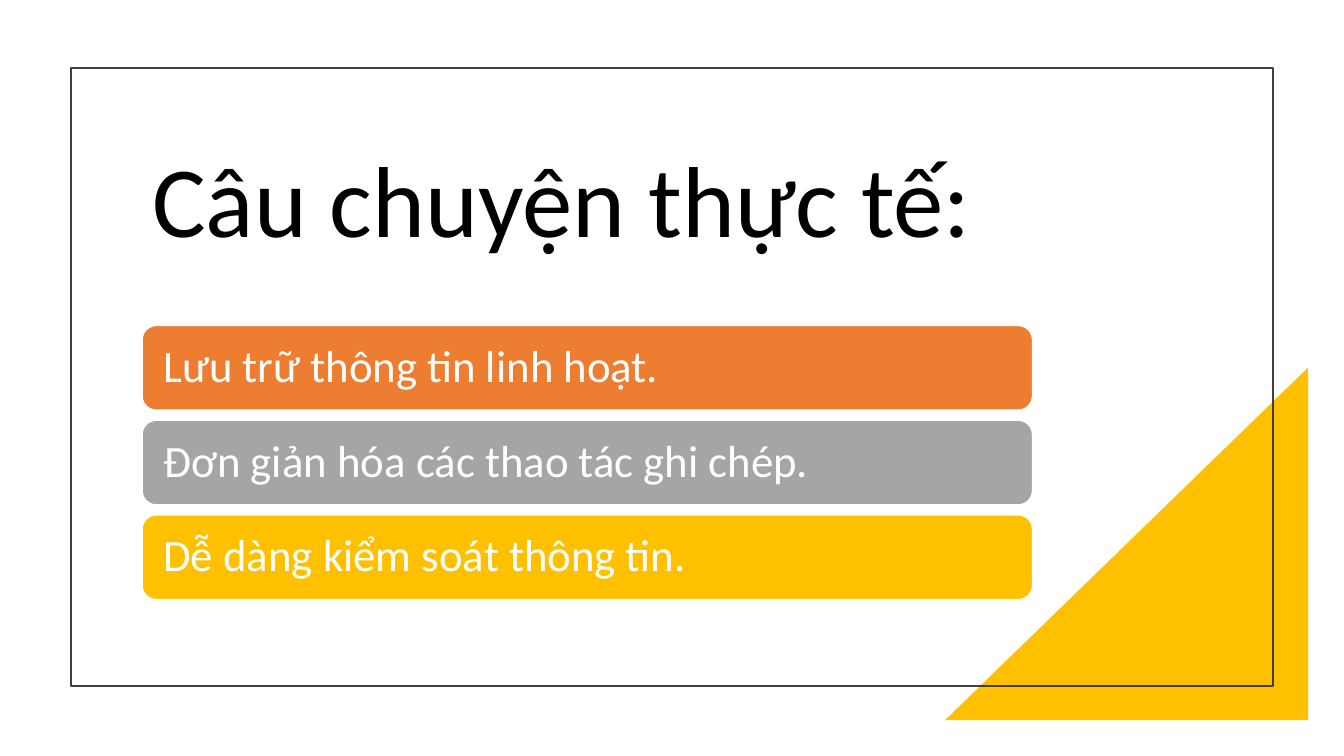
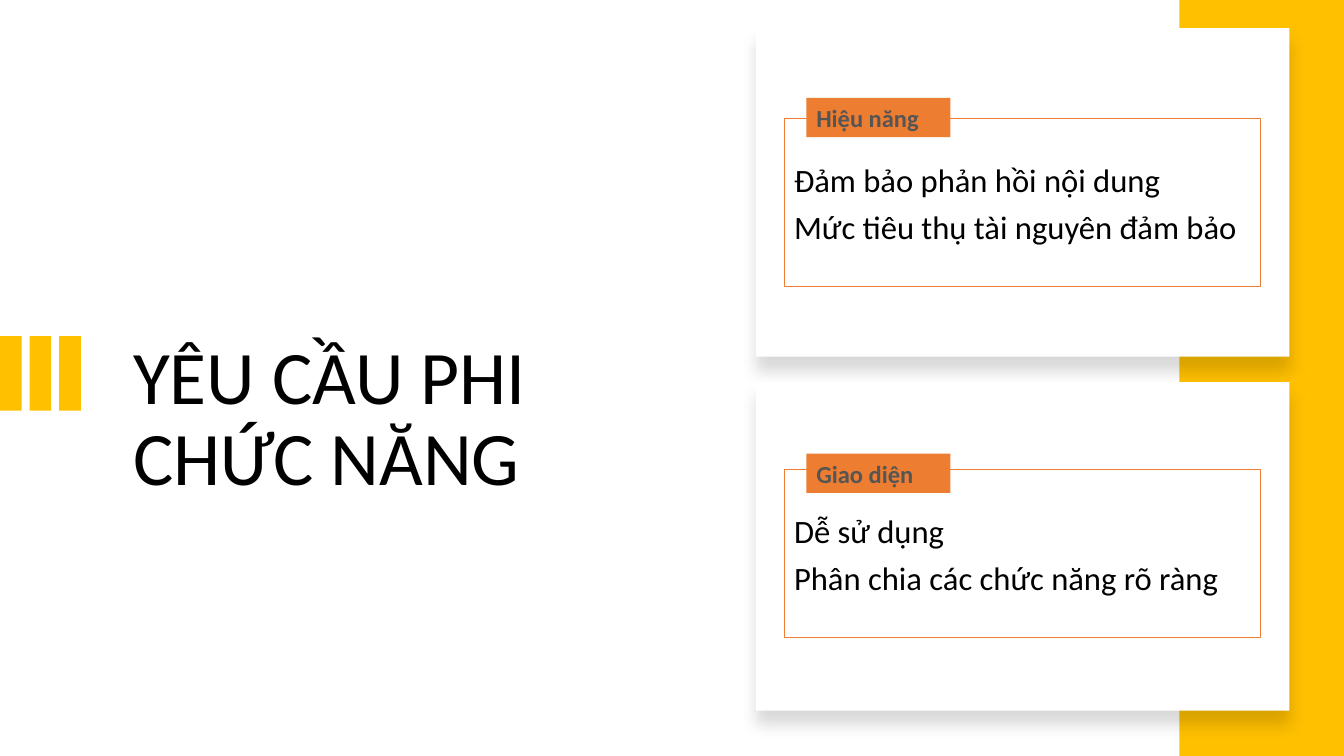
import lxml.etree
import pptx
import pptx.dml.color
import pptx.enum.shapes
import pptx.enum.text
import pptx.oxml.ns
import pptx.util

RGBColor = pptx.dml.color.RGBColor
SHAPE = pptx.enum.shapes.MSO_SHAPE
ANCHOR = pptx.enum.text.MSO_ANCHOR

WHITE = RGBColor(0xFF, 0xFF, 0xFF)
BLACK = RGBColor(0x00, 0x00, 0x00)
YELLOW = RGBColor(0xFF, 0xC0, 0x00)
ORANGE = RGBColor(0xED, 0x7D, 0x31)
SILVER = RGBColor(0xA5, 0xA5, 0xA5)
FRAME_GREY = RGBColor(0x40, 0x40, 0x40)
TAG_GREY = RGBColor(0x55, 0x55, 0x55)

COLUMNS, ROWS = 64, 36
TITLE_ONLY = 5


class Deck:
    """Holds the style and the current slide; areas are (column, row, columns, rows)."""

    font = "Calibri"

    def __init__(self):
        self.presentation = pptx.Presentation()
        self.presentation.slide_width = pptx.util.Inches(13.333)
        self.presentation.slide_height = pptx.util.Inches(7.5)
        self.slide = None

    def area(self, column, row, columns, rows):
        """Turn grid units into slide lengths."""
        across = self.presentation.slide_width / COLUMNS
        down = self.presentation.slide_height / ROWS
        return [round(length) for length in
                (column * across, row * down, columns * across, rows * down)]

    def add_slide(self, title, area, size, anchor):
        layout = self.presentation.slide_layouts[TITLE_ONLY]
        self.slide = self.presentation.slides.add_slide(layout)
        shape = self.slide.shapes.title
        shape.left, shape.top, shape.width, shape.height = self.area(*area)
        self.add_text(shape, [title], size, BLACK, anchor, line_spacing=0.9)

    def add_text(self, shape, lines, size, color, anchor, bold=False,
                 line_spacing=1.0, space_after=0):
        frame = shape.text_frame
        frame.word_wrap = True
        frame.auto_size = pptx.enum.text.MSO_AUTO_SIZE.NONE
        frame.vertical_anchor = anchor
        for index, line in enumerate(lines):
            paragraph = frame.add_paragraph() if index else frame.paragraphs[0]
            paragraph.alignment = pptx.enum.text.PP_ALIGN.LEFT
            paragraph.line_spacing = line_spacing
            paragraph.space_after = pptx.util.Pt(space_after)
            run = paragraph.add_run()
            run.text = line
            run.font.name = self.font
            run.font.size = pptx.util.Pt(size)
            run.font.bold = bold
            run.font.color.rgb = color

    def shape(self, area, fill=None, line=None, line_width=1, kind=SHAPE.RECTANGLE):
        shape = self.slide.shapes.add_shape(kind, *self.area(*area))
        shape.shadow.inherit = False
        if fill is None:
            shape.fill.background()
        else:
            shape.fill.solid()
            shape.fill.fore_color.rgb = fill
        if line is None:
            shape.line.fill.background()
        else:
            shape.line.color.rgb = line
            shape.line.width = pptx.util.Pt(line_width)
        return shape

    def corner(self, area):
        """Triangle with its right angle at the bottom right."""
        triangle = self.shape(area, YELLOW, kind=SHAPE.RIGHT_TRIANGLE)
        triangle._element.spPr.xfrm.set("flipH", "1")

    def bar(self, area, text, fill):
        bar = self.shape(area, fill, WHITE, kind=SHAPE.ROUNDED_RECTANGLE)
        bar.text_frame.margin_left = pptx.util.Inches(0.17)
        self.add_text(bar, [text], 32, WHITE, ANCHOR.MIDDLE, line_spacing=0.9)

    def card(self, area):
        """White panel with a soft shadow below it."""
        qn = pptx.oxml.ns.qn
        effects = self.shape(area, WHITE)._element.spPr.find(qn("a:effectLst"))
        shadow = lxml.etree.SubElement(
            effects, qn("a:outerShdw"), blurRad=str(pptx.util.Pt(11)),
            dist=str(pptx.util.Pt(10)), dir="5400000", algn="t", rotWithShape="0")
        color = lxml.etree.SubElement(shadow, qn("a:srgbClr"), val=str(BLACK))
        lxml.etree.SubElement(color, qn("a:alpha"), val="15000")

    def tagged_box(self, area, tag_area, tag, lines):
        box = self.shape(area, line=ORANGE, line_width=0.75)
        self.add_text(box, lines, 23.3, BLACK, ANCHOR.MIDDLE, space_after=6)
        label = self.shape(tag_area, ORANGE)
        self.add_text(label, [tag], 17.5, TAG_GREY, ANCHOR.TOP, bold=True, space_after=6)


def build_story(deck):
    left, width = 6.77, 42.4
    deck.add_slide("Câu chuyện thực tế:", (left, 5.52, width, 8.5), 72, ANCHOR.MIDDLE)
    deck.corner((45, 17.5, 17.3, 16.8))
    deck.shape((3.36, 3.26, 57.27, 29.42), line=FRAME_GREY, line_width=1.5)
    benefits = [
        ("Lưu trữ thông tin linh hoạt.", ORANGE),
        ("Đơn giản hóa các thao tác ghi chép.", SILVER),
        ("Dễ dàng kiểm soát thông tin.", YELLOW),
    ]
    for index, (text, fill) in enumerate(benefits):
        deck.bar((left, 15.5 + 4.51 * index, width, 4.03), text, fill)


def build_requirements(deck):
    deck.add_slide("YÊU CẦU PHI CHỨC NĂNG", (5.86, 15.9, 25.73, 14.35), 54, ANCHOR.TOP)
    for index in range(3):
        deck.shape((1.41 * index, 16, 1.03, 3.55), YELLOW)
    deck.shape((56.16, 0, COLUMNS - 56.16, ROWS), YELLOW)
    requirements = [
        ("Hiệu năng", 4.66, 5.66,
         ["Đảm bảo phản hồi nội dung", "Mức tiêu thụ tài nguyên đảm bảo"]),
        ("Giao diện", 21.6, 22.37,
         ["Dễ sử dụng", "Phân chia các chức năng rõ ràng"]),
    ]
    for index, (tag, tag_row, box_row, lines) in enumerate(requirements):
        deck.card((36, 1.34 + 16.85 * index, 25.4, 15.65))
        deck.tagged_box((37.34, box_row, 22.7, 8), (38.4, tag_row, 6.86, 1.87), tag, lines)


def main():
    deck = Deck()
    build_story(deck)
    build_requirements(deck)
    deck.presentation.save("out.pptx")


if __name__ == "__main__":
    main()
